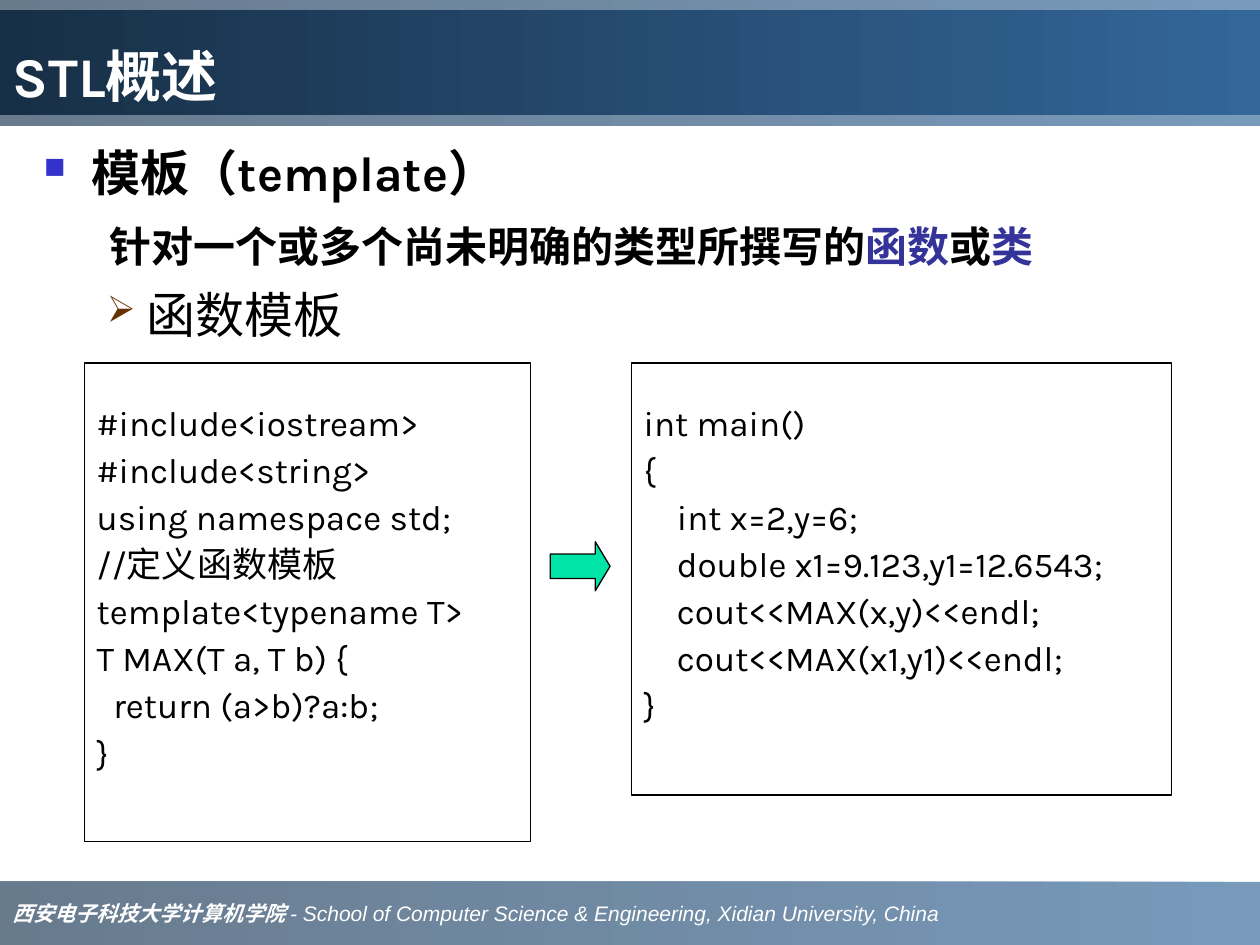
from lxml import etree
from pptx import Presentation
from pptx.dml.color import RGBColor
from pptx.enum.shapes import MSO_SHAPE
from pptx.enum.text import MSO_ANCHOR, MSO_AUTO_SIZE, PP_ALIGN
from pptx.oxml.ns import qn
from pptx.util import Pt

RECTANGLE, ARROW = MSO_SHAPE.RECTANGLE, MSO_SHAPE.RIGHT_ARROW
TOP, MIDDLE, BOTTOM = MSO_ANCHOR.TOP, MSO_ANCHOR.MIDDLE, MSO_ANCHOR.BOTTOM
LEFT, NO_AUTOFIT = PP_ALIGN.LEFT, MSO_AUTO_SIZE.NONE

COLORS = {
    "white": "FFFFFF", "black": "000000", "light_blue": "336699",
    "band_dark": "1B3753", "title_dark": "172F46", "keyword": "333399",
    "square": "3333CC", "pointer": "663300", "arrow": "00E4A8",
}
FONT = "Karla"

TITLE = "STL概述"
FOOTER = [
    ("西安电子科技大学计算机学院 ", "Times New Roman", True),
    ("- School of Computer Science & Engineering, Xidian University, China", "Arial", False),
]
# text, bold, bullet, bullet colour, bullet percent, margin, hanging, space before
OUTLINE = [
    ("模板（template）", True, "■", "square", 60, 27, 27, 0),
    ("函数模板", False, "➢", "pointer", 75, 58.5, 22.5, 47.5),
]
DEFINITION = [
    ("针对一个或多个尚未明确的类型所撰写的", "black"),
    ("函数", "keyword"), ("或", "black"), ("类", "keyword"),
]
LISTINGS = [
    ((48.2, 207.4, 254.9, 273.6), [
        "#include<iostream>",
        "#include<string>",
        "using namespace std;",
        "//定义函数模板",
        "template<typename T>",
        "T MAX(T a, T b) {",
        "  return (a>b)?a:b;",
        "}",
    ]),
    ((360.7, 207.4, 308.9, 247), [
        "int main()",
        "{",
        "    int x=2,y=6;",
        "    double x1=9.123,y1=12.6543;",
        "    cout<<MAX(x,y)<<endl;",
        "    cout<<MAX(x1,y1)<<endl;",
        "}",
    ]),
]
BANDS = {"footer": (0, 504, 720, 36), "header": (0, 0, 720, 72)}
TITLE_BOX = (0, 5.9, 720, 60)
OUTLINE_BOX = (18, 77.8, 678, 420)
DEFINITION_BOX = (55.4, 122.4, 542, 36)
ARROW_BOX = (314.4, 309.6, 34.2, 28)


def color(name):
    """Return the named colour."""
    return RGBColor.from_string(COLORS[name])


def fill_gradient(shape, dark, opacity=None):
    """Fill a shape from dark at the left to light blue at the right."""
    shape.fill.gradient()
    shape.fill.gradient_angle = 180
    for stop, name in zip(shape.fill.gradient_stops, ("light_blue", dark)):
        stop.color.rgb = color(name)
    if opacity:
        for clr in shape._element.spPr.iter(qn("a:srgbClr")):
            etree.SubElement(clr, qn("a:alpha"), val=str(opacity * 1000))


def add_box(slide, kind, box):
    """Add a plain preset shape without fill, line or shadow."""
    shape = slide.shapes.add_shape(kind, *map(Pt, box))
    shape.shadow.inherit = False
    shape.fill.background()
    shape.line.fill.background()
    return shape


def outline_black(shape):
    """Give a shape its thin black outline."""
    shape.line.color.rgb = color("black")
    shape.line.width = Pt(0.75)


def prepare_frame(shape, anchor=TOP, inset_top=3.6, wrap=True):
    """Set the insets, anchor and wrapping of a text frame."""
    frame = shape.text_frame
    frame.auto_size = NO_AUTOFIT
    frame.word_wrap = wrap
    frame.vertical_anchor = anchor
    frame.margin_left = frame.margin_right = Pt(7.2)
    frame.margin_top, frame.margin_bottom = Pt(inset_top), Pt(3.6)
    return frame


def add_run(paragraph, text, size, name, bold=False, italic=False, font=FONT):
    """Append a formatted run to a left-aligned paragraph."""
    paragraph.alignment = LEFT
    run = paragraph.add_run()
    run.text = text
    run.font.size, run.font.name = Pt(size), font
    run.font.bold, run.font.italic = bold, italic
    run.font.color.rgb = color(name)


def add_bullet(paragraph, character, name, percent, margin, hanging):
    """Give a paragraph a coloured bullet and a hanging indent."""
    properties = paragraph._p.get_or_add_pPr()
    properties.set("marL", str(Pt(margin)))
    properties.set("indent", str(-Pt(hanging)))
    bullet_color = etree.SubElement(properties, qn("a:buClr"))
    etree.SubElement(bullet_color, qn("a:srgbClr"), val=COLORS[name])
    etree.SubElement(properties, qn("a:buSzPct"), val=str(percent * 1000))
    etree.SubElement(properties, qn("a:buChar"), char=character)


def paragraphs(frame, count):
    """Return the given number of paragraphs of an empty frame."""
    return [frame.paragraphs[0]] + [frame.add_paragraph() for _ in range(count - 1)]


def add_bands(slide):
    """Add the translucent header and footer bands and the footer text."""
    bands = {name: add_box(slide, RECTANGLE, box) for name, box in BANDS.items()}
    for band in bands.values():
        fill_gradient(band, "band_dark", 66)
    paragraph = prepare_frame(bands["footer"], MIDDLE).paragraphs[0]
    for text, font, bold in FOOTER:
        add_run(paragraph, text, 12, "white", bold, True, font)


def add_title(slide):
    """Format the title placeholder and lay it over the header band."""
    title = slide.shapes.title
    title.left, title.top, title.width, title.height = map(Pt, TITLE_BOX)
    fill_gradient(title, "title_dark")
    paragraph = prepare_frame(title, BOTTOM).paragraphs[0]
    add_run(paragraph, TITLE, 32, "white", True)
    slide.shapes._spTree.append(title._element)


def add_outline(slide):
    """Add the bulleted headings and the definition between them."""
    frame = prepare_frame(slide.shapes.add_textbox(*map(Pt, OUTLINE_BOX)))
    for paragraph, item in zip(paragraphs(frame, len(OUTLINE)), OUTLINE):
        text, bold, *bullet, space = item
        add_bullet(paragraph, *bullet)
        paragraph.space_before = Pt(space)
        add_run(paragraph, text, 28, "black", bold)
    definition = slide.shapes.add_textbox(*map(Pt, DEFINITION_BOX))
    paragraph = prepare_frame(definition, wrap=False).paragraphs[0]
    for text, name in DEFINITION:
        add_run(paragraph, text, 24, name, True)


def add_listing(slide, box, lines):
    """Add a framed code listing."""
    shape = add_box(slide, RECTANGLE, box)
    outline_black(shape)
    frame = prepare_frame(shape, inset_top=30.5)
    for index, (paragraph, line) in enumerate(zip(paragraphs(frame, len(lines)), lines)):
        paragraph.line_spacing = 0.6
        paragraph.space_before = Pt(12.5 if index else 0)
        add_run(paragraph, line, 20, "black")


def main():
    """Build the slide and save it."""
    presentation = Presentation()
    presentation.slide_width, presentation.slide_height = Pt(720), Pt(540)
    slide = presentation.slides.add_slide(presentation.slide_layouts[5])
    add_bands(slide)
    add_title(slide)
    add_outline(slide)
    for box, lines in LISTINGS:
        add_listing(slide, box, lines)
    arrow = add_box(slide, ARROW, ARROW_BOX)
    arrow.adjustments[1] = 0.3
    arrow.fill.solid()
    arrow.fill.fore_color.rgb = color("arrow")
    outline_black(arrow)
    presentation.save("out.pptx")


if __name__ == "__main__":
    main()
